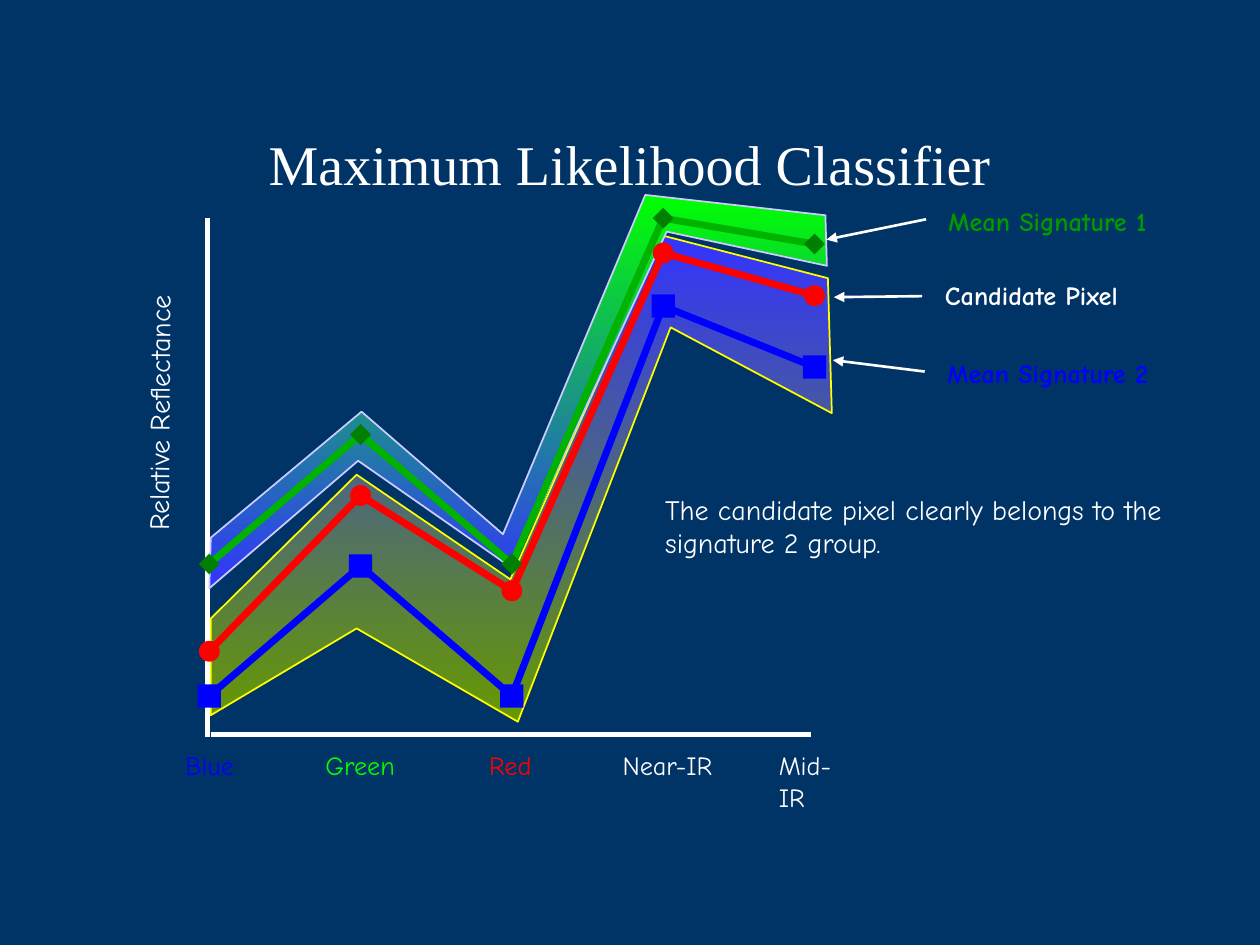
from lxml import etree
from pptx import Presentation
from pptx.dml.color import RGBColor
from pptx.enum.shapes import MSO_CONNECTOR, MSO_SHAPE
from pptx.enum.text import MSO_ANCHOR, PP_ALIGN
from pptx.oxml.ns import qn
from pptx.util import Cm, Pt

STRAIGHT = MSO_CONNECTOR.STRAIGHT
SQUARE, CIRCLE, DIAMOND = MSO_SHAPE.RECTANGLE, MSO_SHAPE.OVAL, MSO_SHAPE.DIAMOND
LEFT, CENTER = PP_ALIGN.LEFT, PP_ALIGN.CENTER
TOP, MIDDLE = MSO_ANCHOR.TOP, MSO_ANCHOR.MIDDLE

NAVY = RGBColor(0x00, 0x33, 0x66)
WHITE = RGBColor(0xFF, 0xFF, 0xFF)
BLUE = RGBColor(0x00, 0x00, 0xFF)
RED = RGBColor(0xFF, 0x00, 0x00)
LIME = RGBColor(0x00, 0xFF, 0x00)
LINE_GREEN = RGBColor(0x00, 0xB3, 0x00)
MARKER_GREEN = RGBColor(0x00, 0x7F, 0x00)
LABEL_GREEN = RGBColor(0x00, 0x99, 0x00)
OLIVE = RGBColor(0x66, 0x99, 0x00)
INDIGO = RGBColor(0x33, 0x33, 0xFF)
YELLOW = RGBColor(0xFF, 0xFF, 0x00)
LAVENDER = RGBColor(0xCC, 0xCC, 0xFF)

BODY_FONT, TITLE_FONT = "Comic Neue", "Times New Roman"
BAND_STEP = 3.05  # centimetres between neighbouring spectral bands
AXIS_Y = 10.41

# Envelope outlines, in centimetres from the top left of the plot.
ENVELOPES = [
    ([(0.03, 8.08), (2.97, 5.18), (6.07, 7.29), (9.14, 0.36), (12.47, 1.22),
      (12.55, 3.94), (9.3, 2.21), (6.22, 10.16), (2.97, 8.28), (0.03, 10.03)],
     (INDIGO, OLIVE), YELLOW),
    ([(0.03, 6.45), (3.07, 3.91), (5.92, 6.38), (8.79, -0.46), (12.42, -0.05),
      (12.45, 0.97), (9.22, 0.28), (6.1, 7.06), (3, 4.9), (0, 7.47)],
     (LIME, INDIGO), LAVENDER),
]
# Height of each band's point, line colour, marker shape, colour and size.
SERIES = [
    ([9.64, 7.02, 9.64, 1.78, 3.01], BLUE, SQUARE, BLUE, 0.47),
    ([8.74, 5.6, 7.52, 0.71, 1.57], RED, CIRCLE, RED, 0.42),
    ([6.98, 4.37, 6.98, 0.01, 0.53], LINE_GREEN, DIAMOND, MARKER_GREEN, 0.42),
]
# Text, colour, left and width.
BAND_LABELS = [
    ("Blue", BLUE, -0.48, 0.99),
    ("Green", LIME, 2.34, 1.42),
    ("Red", RED, 5.64, 0.86),
    ("Near-IR", WHITE, 8.33, 1.83),
    ("Mid-IR", WHITE, 11.48, 1.57),
]
# Text, colour, left, top, width, arrow start and arrow end.
CALLOUTS = [
    ("Mean Signature 1", LABEL_GREEN, 2.46, 0, 4.01, (2.01, 0.28), (0, 0.69)),
    ("Candidate Pixel", WHITE, 2.39, 1.5, 3.51, (1.93, 1.83), (0.15, 1.85)),
    ("Mean Signature 2", BLUE, 2.44, 3.07, 4.06, (1.98, 3.35), (0.13, 3.12)),
]


def add_text(page, text, left, top, width, height, *, size=16, font=BODY_FONT,
             color=WHITE, bold=False, align=LEFT, anchor=TOP, inset=True,
             wrap=True, rotation=0):
    box = page.shapes.add_textbox(Cm(left), Cm(top), Cm(width), Cm(height))
    box.rotation = rotation
    frame = box.text_frame
    frame.word_wrap = wrap
    frame.vertical_anchor = anchor
    if not inset:
        frame.margin_left = frame.margin_right = 0
        frame.margin_top = frame.margin_bottom = 0
    para = frame.paragraphs[0]
    para.alignment = align
    span = para.add_run()
    span.text = text
    span.font.size = Pt(size)
    span.font.name = font
    span.font.bold = bold
    span.font.color.rgb = color


def add_line(page, start, end, width, arrow=False):
    line = page.shapes.add_connector(
        STRAIGHT, *(Cm(length) for length in (*start, *end)))
    line.line.color.rgb = WHITE
    line.line.width = Pt(width)
    properties = line._element.spPr
    if arrow:
        outline = properties.find(qn("a:ln"))
        etree.SubElement(outline, qn("a:tailEnd"), type="triangle")
    etree.SubElement(properties, qn("a:effectLst"))


def add_outline(page, points, color, width, close):
    corners = [(Cm(x), Cm(y)) for x, y in points]
    builder = page.shapes.build_freeform(*corners[0])
    builder.add_line_segments(corners[1:], close=close)
    shape = builder.convert_to_shape()
    shape.shadow.inherit = False
    shape.line.color.rgb = color
    shape.line.width = Pt(width)
    return shape


def add_envelope(page, left, top, points, gradient, border):
    moved = [(left + x, top + y) for x, y in points]
    shape = add_outline(page, moved, border, 1, close=True)
    shape.fill.gradient()
    shape.fill.gradient_angle = 270
    for stop, color in zip(shape.fill.gradient_stops, gradient):
        stop.color.rgb = color


def add_series(page, left, top, heights, color, marker, marker_color, size):
    points = [(left + band * BAND_STEP, top + y) for band, y in enumerate(heights)]
    add_outline(page, points, color, 4, close=False).fill.background()
    for x, y in points:
        shape = page.shapes.add_shape(
            marker, Cm(x - size / 2), Cm(y - size / 2), Cm(size), Cm(size))
        shape.shadow.inherit = False
        shape.fill.solid()
        shape.fill.fore_color.rgb = marker_color
        shape.line.fill.background()


def add_plot(page, left, top):
    """Draw axes, envelopes, signatures and band names from the plot's top left."""
    add_line(page, (left - 0.03, top + AXIS_Y + 0.05), (left - 0.03, top), 3)
    add_line(page, (left + 0.03, top + AXIS_Y), (left + 12.12, top + AXIS_Y), 3)
    for envelope in ENVELOPES:
        add_envelope(page, left, top, *envelope)
    for series in SERIES:
        add_series(page, left, top, *series)
    for text, color, x, width in BAND_LABELS:
        add_text(page, text, left + x, top + AXIS_Y + 0.31, width, 0.64,
                 size=15, color=color, inset=False, wrap=False)
    add_text(page, "Relative Reflectance", left - 4.35, top + 2.75, 6.68, 0.94,
             rotation=270.4)


def add_callouts(page, left, top):
    for text, color, x, y, width, start, end in CALLOUTS:
        add_text(page, text, left + x, top + y, width, 0.64, size=15,
                 color=color, bold=True, inset=False, wrap=False)
        add_line(page, (left + start[0], top + start[1]),
                 (left + end[0], top + end[1]), 1.5, arrow=True)


def main():
    deck = Presentation()
    deck.slide_width, deck.slide_height = Cm(25.4), Cm(19.05)
    page = deck.slides.add_slide(deck.slide_layouts[6])
    page.background.fill.solid()
    page.background.fill.fore_color.rgb = NAVY
    add_text(page, "Maximum Likelihood Classifier", 1.9, 1.7, 21.6, 3.18,
             size=32, font=TITLE_FONT, align=CENTER, anchor=MIDDLE)
    add_plot(page, 4.22, 4.39)
    add_callouts(page, 16.66, 4.14)
    add_text(page, "The candidate pixel clearly belongs to the signature 2 group.",
             13.16, 9.8, 10.82, 1.63)
    deck.save("out.pptx")


if __name__ == "__main__":
    main()
